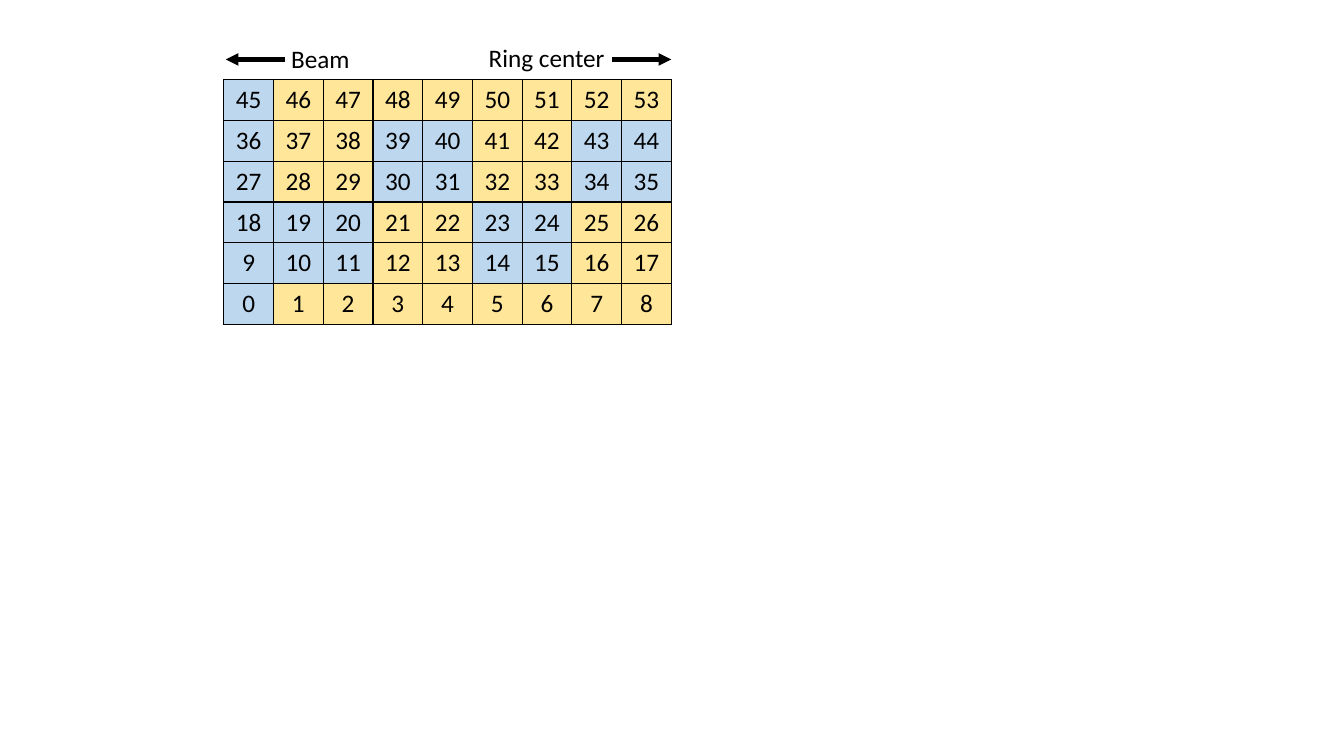
import dataclasses

import lxml.etree
import pptx
import pptx.dml.color
import pptx.enum.shapes
import pptx.enum.text
import pptx.oxml.ns
import pptx.util

Pt = pptx.util.Pt
qn = pptx.oxml.ns.qn


@dataclasses.dataclass(frozen=True)
class Theme:
    """Colours, type and line sizes of the slide."""
    ink: str = "000000"
    blue: str = "BDD7EE"
    yellow: str = "FFE699"
    font: str = "Calibri"
    text_size: float = 18
    arrow_width: float = 3
    border_width: float = 1


@dataclasses.dataclass(frozen=True)
class Box:
    """A region of the slide in points."""
    left: float
    top: float
    width: float
    height: float


THEME = Theme()
EDGE_ROW = "BYYYYYYYY"
UPPER_ROW = "BYYBBYYBB"
LOWER_ROW = "BBBYYBBYY"
CHANNEL_ROWS = [EDGE_ROW, UPPER_ROW, UPPER_ROW, LOWER_ROW, LOWER_ROW, EDGE_ROW]
CHANNEL_FILLS = {"B": THEME.blue, "Y": THEME.yellow}


def rgb(color):
    """Turn a hex string into a colour."""
    return pptx.dml.color.RGBColor.from_string(color)


def write_text(paragraph, text):
    """Add one run in the theme's type."""
    font = paragraph.add_run().font
    paragraph.runs[0].text = text
    formats = {"name": THEME.font, "size": Pt(THEME.text_size), "bold": False}
    for name, value in formats.items():
        setattr(font, name, value)
    font.color.rgb = rgb(THEME.ink)


def add_label(slide, text, box):
    """Add a left-aligned direction label."""
    shape = slide.shapes.add_textbox(
        Pt(box.left), Pt(box.top), Pt(box.width), Pt(box.height))
    formats = {"word_wrap": True, "auto_size": pptx.enum.text.MSO_AUTO_SIZE.SHAPE_TO_FIT_TEXT}
    for name, value in formats.items():
        setattr(shape.text_frame, name, value)
    write_text(shape.text_frame.paragraphs[0], text)


def add_arrow(slide, start, end, y):
    """Add a horizontal arrow with its head at the end."""
    arrow = slide.shapes.add_connector(
        pptx.enum.shapes.MSO_CONNECTOR.STRAIGHT, Pt(start), Pt(y), Pt(end), Pt(y))
    arrow.line.width = Pt(THEME.arrow_width)
    arrow.line.color.rgb = rgb(THEME.ink)
    lxml.etree.SubElement(arrow.line._get_or_add_ln(), qn("a:tailEnd"), type="triangle")
    lxml.etree.SubElement(arrow._element.spPr, qn("a:effectLst"))


def add_directions(slide, box):
    """Place both labels and their outward arrows above the channel map."""
    length, inset = 42.48, 1.44
    right = box.left + box.width
    middle = box.top + 15.84
    add_arrow(slide, right - length, right, middle)
    add_label(slide, "Ring center", Box(right - 137.52, box.top, 120.24, box.height))
    add_arrow(slide, box.left + inset + length, box.left + inset, middle)
    add_label(slide, "Beam", Box(box.left + 41.04, box.top + 0.72, 69.84, box.height))


def add_cell_borders(cell):
    """Draw a thin line on all four sides of a cell."""
    properties = cell._tc.get_or_add_tcPr()
    for index, side in enumerate(("a:lnL", "a:lnR", "a:lnT", "a:lnB")):
        border = properties.makeelement(qn(side), {"w": str(Pt(THEME.border_width))})
        fill = lxml.etree.SubElement(border, qn("a:solidFill"))
        lxml.etree.SubElement(fill, qn("a:srgbClr"), val=THEME.ink)
        properties.insert(index, border)


def add_channel_map(slide, box):
    """Place the table of channels, numbered upwards from the bottom left."""
    row_count, column_count = len(CHANNEL_ROWS), len(EDGE_ROW)
    table = slide.shapes.add_table(
        row_count, column_count,
        Pt(box.left), Pt(box.top), Pt(box.width), Pt(box.height)).table
    for name in ("first_row", "horz_banding"):
        setattr(table, name, False)
    for column in table.columns:
        column.width = Pt(box.width / column_count)
    for row_index, codes in enumerate(CHANNEL_ROWS):
        table.rows[row_index].height = Pt(box.height / row_count)
        first_channel = (row_count - 1 - row_index) * column_count
        for column_index, code in enumerate(codes):
            cell = table.cell(row_index, column_index)
            cell.fill.solid()
            cell.fill.fore_color.rgb = rgb(CHANNEL_FILLS[code])
            add_cell_borders(cell)
            paragraph = cell.text_frame.paragraphs[0]
            paragraph.alignment = pptx.enum.text.PP_ALIGN.CENTER
            write_text(paragraph, str(first_channel + column_index))


def main():
    """Build and save the presentation."""
    presentation = pptx.Presentation()
    for name, value in {"slide_width": Pt(960), "slide_height": Pt(540)}.items():
        setattr(presentation, name, value)
    slide = presentation.slides.add_slide(presentation.slide_layouts[6])
    add_directions(slide, Box(159.84, 26.64, 319.68, 28.8))
    add_channel_map(slide, Box(159.84, 56.88, 319.68, 174.96))
    presentation.save("out.pptx")


main()
